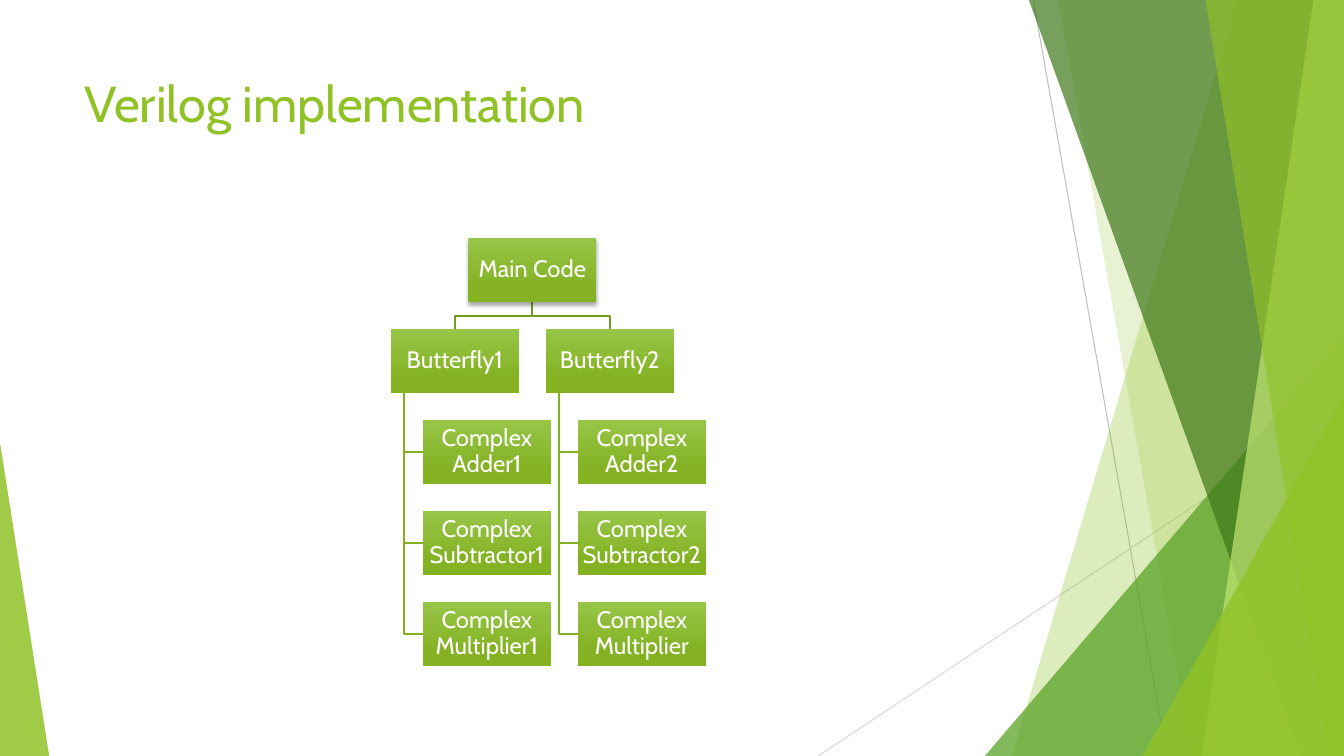
from collections import namedtuple
from dataclasses import dataclass
from lxml.etree import SubElement
from pptx import Presentation
from pptx.dml.color import RGBColor
from pptx.enum.shapes import MSO_CONNECTOR, MSO_SHAPE
from pptx.enum.text import MSO_ANCHOR, MSO_AUTO_SIZE, PP_ALIGN
from pptx.oxml.ns import qn
from pptx.util import Cm, Pt

Box = namedtuple("Box", "x y w h")


@dataclass(frozen=True)
class Theme:
    font: str = "Cabin"
    title: float = 36
    node: float = 17
    lime: str = "90C226"
    green: str = "54A021"
    dark: str = "3F7819"
    pale: str = "C0E474"
    white: str = "FFFFFF"
    top: str = "97C547"
    base: str = "84B223"
    stem: str = "739B1E"
    twig: str = "83B022"
    ray: str = "BFBFBF"
    mist: str = "D9D9D9"


THEME = Theme()
TREE = ("Main Code", [
    ("Butterfly1", ["Complex Adder1", "Complex Subtractor1", "Complex Multiplier1"]),
    ("Butterfly2", ["Complex Adder2", "Complex Subtractor2", "Complex Multiplier"]),
])
TITLE = {"word_wrap": True, "auto_size": MSO_AUTO_SIZE.NONE,
         "vertical_anchor": MSO_ANCHOR.TOP}
NODE = {"word_wrap": True, "vertical_anchor": MSO_ANCHOR.MIDDLE,
        **{f"margin_{side}": Cm(0.03) for side in ("left", "right", "top", "bottom")}}


def put(item, values):
    for key, value in values.items():
        setattr(item, key, value)


def color(hue):
    return RGBColor.from_string(hue)


def write(shape, text, size, hue, frame, para):
    put(shape.text_frame, frame)
    first = shape.text_frame.paragraphs[0]
    put(first, para)
    run = first.add_run()
    run.text = text
    put(run.font, {"name": THEME.font, "size": Pt(size)})
    run.font.color.rgb = color(hue)


def trace(shapes, points, close):
    """Build an outline from points given in centimetres."""
    spots = [(Cm(x), Cm(y)) for x, y in points]
    path = shapes.build_freeform(*spots[0])
    path.add_line_segments(spots[1:], close=close)
    shape = path.convert_to_shape()
    shape.shadow.inherit = False
    return shape


def tint(shape, hue, alpha):
    """Fill without outline; alpha is the opacity in percent."""
    shape.shadow.inherit = False
    shape.line.fill.background()
    shape.fill.solid()
    shape.fill.fore_color.rgb = color(hue)
    node = shape.fill._xPr.find(qn("a:solidFill"))[0]
    SubElement(node, qn("a:alpha"), val=str(alpha * 1000))


def ray(shapes, start, end, hue):
    line = shapes.add_connector(MSO_CONNECTOR.STRAIGHT, *map(Cm, start + end))
    line.line.width = Pt(0.75)
    line.line.color.rgb = color(hue)
    SubElement(line._element.spPr, qn("a:effectLst"))


def facet(shapes, box, top, foot, hue, alpha):
    """Fill from a slanted left edge to the right edge of the box."""
    right, low = box.x + box.w, box.y + box.h
    points = [(box.x + top, box.y), (right, box.y), (right, low), (box.x + foot, low)]
    tint(trace(shapes, points, True), hue, alpha)


def wedge(shapes, box, wide, tall, apex, hue, alpha):
    """Stand a triangle in a lower corner; apex 0 is left, 1 is right."""
    x = box.x + apex * (box.w - wide)
    spot = map(Cm, (x, box.y + box.h - tall, wide, tall))
    shape = shapes.add_shape(MSO_SHAPE.ISOSCELES_TRIANGLE, *spot)
    shape.adjustments[0] = apex
    tint(shape, hue, alpha)


def decor(shapes, box):
    right, low = box.x + box.w, box.y + box.h
    ray(shapes, (box.x + 26.04, box.y), (box.x + 29.41, low), THEME.ray)
    ray(shapes, (right, box.y + 10.24), (box.x + 20.62, low), THEME.mist)
    for draw, *form in (
        (facet, 31.19, 25.5, THEME.lime, 30),
        (facet, 26.67, 30.05, THEME.lime, 20),
        (wedge, 9.05, 10.59, 1, THEME.green, 72),
        (facet, 25.93, 32.79, THEME.dark, 70),
        (facet, 33.1, 30.28, THEME.pale, 70),
        (facet, 30.38, 33.48, THEME.lime, 65),
        (wedge, 5.07, 9.07, 1, THEME.lime, 80),
        (wedge, 1.24, 7.9, 0, THEME.lime, 85),
    ):
        draw(shapes, box, *form)


def head(slide, box, text):
    title = slide.shapes.title
    put(title, dict(zip(("left", "top", "width", "height"), map(Cm, box))))
    write(title, text, THEME.title, THEME.lime, TITLE, {"alignment": PP_ALIGN.LEFT})


def link(shapes, points, hue):
    shape = trace(shapes, points, False)
    shape.fill.background()
    shape.line.width = Pt(1.5)
    shape.line.color.rgb = color(hue)


def node(shapes, box, text):
    shape = shapes.add_shape(MSO_SHAPE.RECTANGLE, *map(Cm, box))
    shape.shadow.inherit = False
    shape.line.fill.background()
    shape.fill.gradient()
    shape.fill.gradient_angle = 270
    for stop, hue, place in zip(shape.fill.gradient_stops,
                                (THEME.top, THEME.base), (0, 0.78)):
        stop.color.rgb = color(hue)
        stop.position = place
    write(shape, text, THEME.node, THEME.white, NODE,
          {"alignment": PP_ALIGN.CENTER, "line_spacing": 0.9})
    return shape


def shade(shape):
    """Add a soft shadow below the shape."""
    effects = shape._element.spPr.find(qn("a:effectLst"))
    outer = SubElement(effects, qn("a:outerShdw"), blurRad=str(Pt(3)),
                       dist=str(Pt(2)), dir="5400000", rotWithShape="0")
    black = SubElement(outer, qn("a:srgbClr"), val="000000")
    SubElement(black, qn("a:alpha"), val="35000")


def chart(shapes, box, tree):
    """Lay out the hierarchy; all distances follow from the node width."""
    root, limbs = tree
    wide = box.w / (len(limbs) + 0.25 + 0.21 * (len(limbs) - 1))
    tall, gap = wide / 2, 0.21 * wide
    step, row = wide + gap, tall + gap
    left = box.x + (len(limbs) - 1) * step / 2
    mid, low = left + wide / 2, box.y + tall
    nodes = [(Box(left, box.y, wide, tall), root)]
    for col, (limb, leaves) in enumerate(limbs):
        x, y = box.x + col * step, box.y + row
        joint, hub = x + wide / 2, low + gap / 2
        link(shapes, [(mid, low), (mid, hub), (joint, hub), (joint, y)], THEME.stem)
        nodes.append((Box(x, y, wide, tall), limb))
        trunk, inner = x + wide / 10, x + wide / 4
        for rank, leaf in enumerate(leaves, 1):
            top = y + rank * row
            turn = top + tall / 2
            link(shapes, [(trunk, y + tall), (trunk, turn), (inner, turn)], THEME.twig)
            nodes.append((Box(inner, top, wide, tall), leaf))
    drawn = [node(shapes, *item) for item in nodes]
    shade(drawn[0])


def main():
    deck = Presentation()
    page = Box(0, 0, 33.87, 19.05)
    put(deck, {"slide_width": Cm(page.w), "slide_height": Cm(page.h)})
    slide = deck.slides.add_slide(deck.slide_layouts[5])
    decor(slide.shapes, page)
    head(slide, Box(1.88, 1.7, 23.88, 3.66), "Verilog implementation")
    chart(slide.shapes, Box(9.85, 6, 7.94, 10.77), TREE)
    deck.save("out.pptx")


if __name__ == "__main__":
    main()
